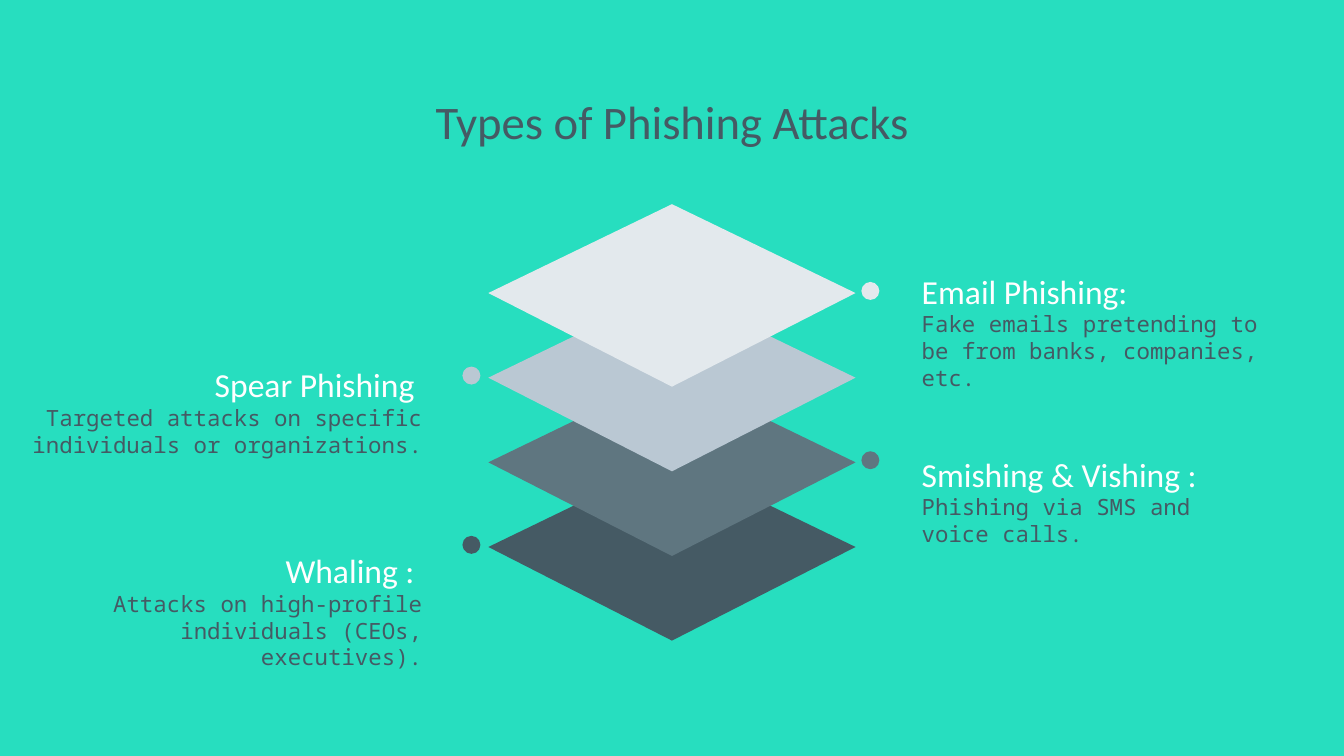
"""Build the slide on types of phishing attacks as a stack of four layers."""
from dataclasses import dataclass

from pptx import Presentation
from pptx.dml.color import RGBColor
from pptx.enum.shapes import MSO_SHAPE
from pptx.enum.text import MSO_ANCHOR, PP_ALIGN
from pptx.util import Cm, Pt

OVAL = MSO_SHAPE.OVAL
TOP = MSO_ANCHOR.TOP
LEFT, CENTER, RIGHT = PP_ALIGN.LEFT, PP_ALIGN.CENTER, PP_ALIGN.RIGHT


@dataclass(frozen=True)
class Theme:
    background: str = "27DEBF"
    dark: str = "455A64"
    light: str = "FFFFFF"
    heading_font: str = "Calibri"
    body_font: str = "Noto Sans Mono"
    title_size: int = 25
    heading_size: int = 18
    body_size: int = 12


@dataclass(frozen=True)
class Attack:
    heading: str
    description: str
    color: str
    side: PP_ALIGN
    heading_top: float
    description_width: float


THEME = Theme()
ATTACKS = (
    Attack("Email Phishing:",
           "Fake emails pretending to be from banks, companies, etc.",
           "E3E9ED", LEFT, 4.75, 7.24),
    Attack("Spear Phishing ",
           "Targeted attacks on specific individuals or organizations.",
           "BAC8D3", RIGHT, 6.52, 7.98),
    Attack("Smishing & Vishing :", "Phishing via SMS and voice calls.",
           "5F7680", LEFT, 8.21, 6.25),
    Attack("Whaling : ",
           "Attacks on high-profile individuals (CEOs, executives).",
           "455A64", RIGHT, 10.03, 8.13),
)

SLIDE_WIDTH, SLIDE_HEIGHT = 25.4, 14.29
STACK_TOP, LAYER_STEP = 3.86, 1.6
LAYER_HALF_WIDTH, LAYER_SHOULDER, LAYER_HEIGHT = 3.47, 1.68, 3.45
DOT_SIZE, DOT_DROP = 0.34, 1.47
DOT_LEFT = {LEFT: 16.28, RIGHT: 8.74}
TEXT_EDGE = {LEFT: 17.17, RIGHT: 8.23}
HEADING_WIDTH, HEADING_HEIGHT = 6.25, 1.02
DESCRIPTION_DROP, DESCRIPTION_HEIGHT = 0.87, 1.5


def paint(shape, color):
    shape.fill.solid()
    shape.fill.fore_color.rgb = RGBColor.from_string(color)
    shape.line.fill.background()
    shape.shadow.inherit = False


def add_text(slide, text, left, top, width, height, *, font, size, color,
             align=LEFT, line_spacing=None, before=0, after=0):
    box = slide.shapes.add_textbox(Cm(left), Cm(top), Cm(width), Cm(height))
    frame = box.text_frame
    frame.word_wrap = True
    frame.vertical_anchor = TOP
    frame.margin_left = frame.margin_right = Cm(0.25)
    frame.margin_top = frame.margin_bottom = Cm(0.25)
    paragraph = frame.paragraphs[0]
    paragraph.alignment = align
    paragraph.line_spacing = line_spacing
    paragraph.space_before, paragraph.space_after = Pt(before), Pt(after)
    run = paragraph.add_run()
    run.text = text
    run.font.name = font
    run.font.size = Pt(size)
    run.font.color.rgb = RGBColor.from_string(color)


def add_layer(slide, attack, top):
    layer = slide.shapes.add_group_shape().shapes
    middle = SLIDE_WIDTH / 2
    shoulder = top + LAYER_SHOULDER
    corners = ((middle - LAYER_HALF_WIDTH, shoulder),
               (middle, top + LAYER_HEIGHT),
               (middle + LAYER_HALF_WIDTH, shoulder))
    outline = layer.build_freeform(Cm(middle), Cm(top))
    outline.add_line_segments([(Cm(x), Cm(y)) for x, y in corners], close=True)
    paint(outline.convert_to_shape(), attack.color)
    dot = layer.add_shape(OVAL, Cm(DOT_LEFT[attack.side]), Cm(top + DOT_DROP),
                          Cm(DOT_SIZE), Cm(DOT_SIZE))
    paint(dot, attack.color)


def add_label(slide, attack):
    def left_for(width):
        edge = TEXT_EDGE[attack.side]
        return edge - width if attack.side == RIGHT else edge

    add_text(slide, attack.description, left_for(attack.description_width),
             attack.heading_top + DESCRIPTION_DROP,
             attack.description_width, DESCRIPTION_HEIGHT,
             font=THEME.body_font, size=THEME.body_size, color=THEME.dark,
             align=attack.side)
    add_text(slide, attack.heading, left_for(HEADING_WIDTH), attack.heading_top,
             HEADING_WIDTH, HEADING_HEIGHT,
             font=THEME.heading_font, size=THEME.heading_size,
             color=THEME.light, align=attack.side,
             line_spacing=1.15, before=1, after=12)


def main():
    presentation = Presentation()
    presentation.slide_width = Cm(SLIDE_WIDTH)
    presentation.slide_height = Cm(SLIDE_HEIGHT)
    slide = presentation.slides.add_slide(presentation.slide_layouts[6])
    slide.background.fill.solid()
    slide.background.fill.fore_color.rgb = RGBColor.from_string(THEME.background)

    add_text(slide, "Types of Phishing Attacks", 1.98, 1.5, 21.44, 1.5,
             font=THEME.heading_font, size=THEME.title_size,
             color=THEME.dark, align=CENTER)
    for level, attack in reversed(list(enumerate(ATTACKS))):
        add_layer(slide, attack, STACK_TOP + level * LAYER_STEP)
    for attack in ATTACKS:
        add_label(slide, attack)

    presentation.save("out.pptx")


if __name__ == "__main__":
    main()
